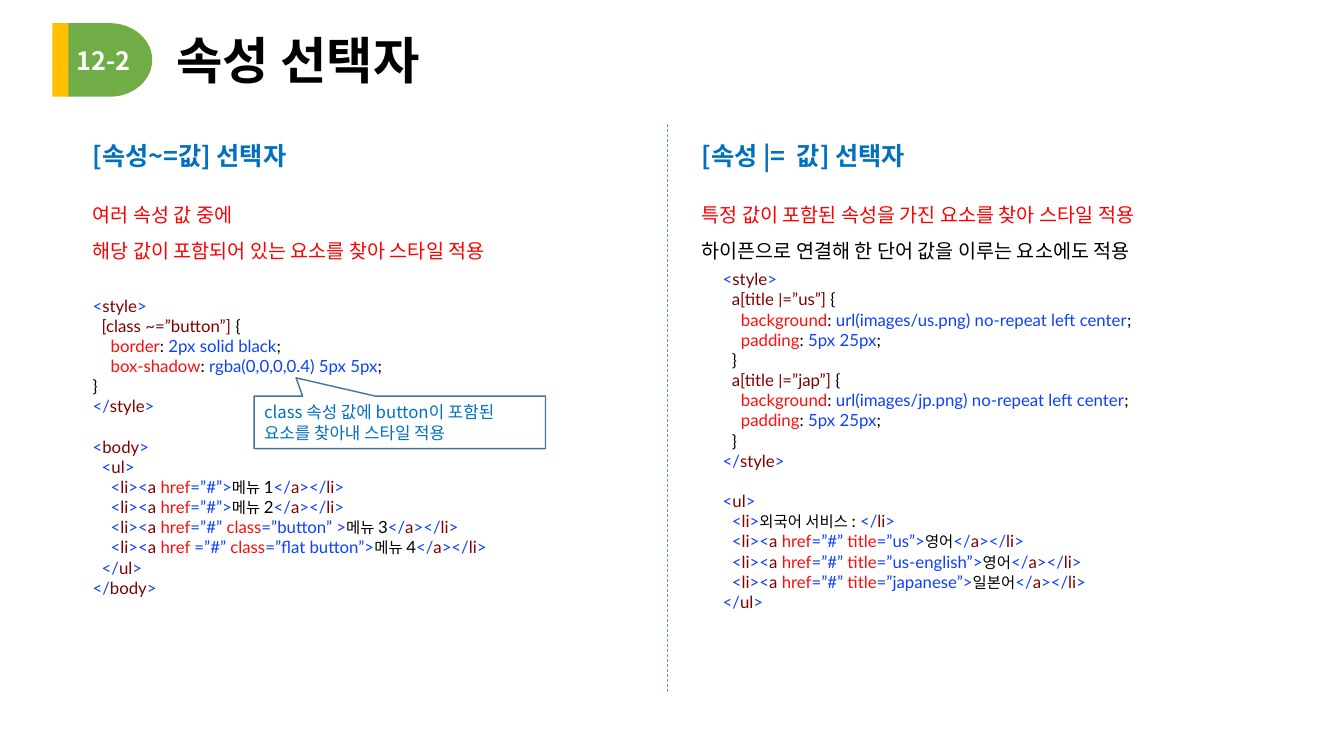
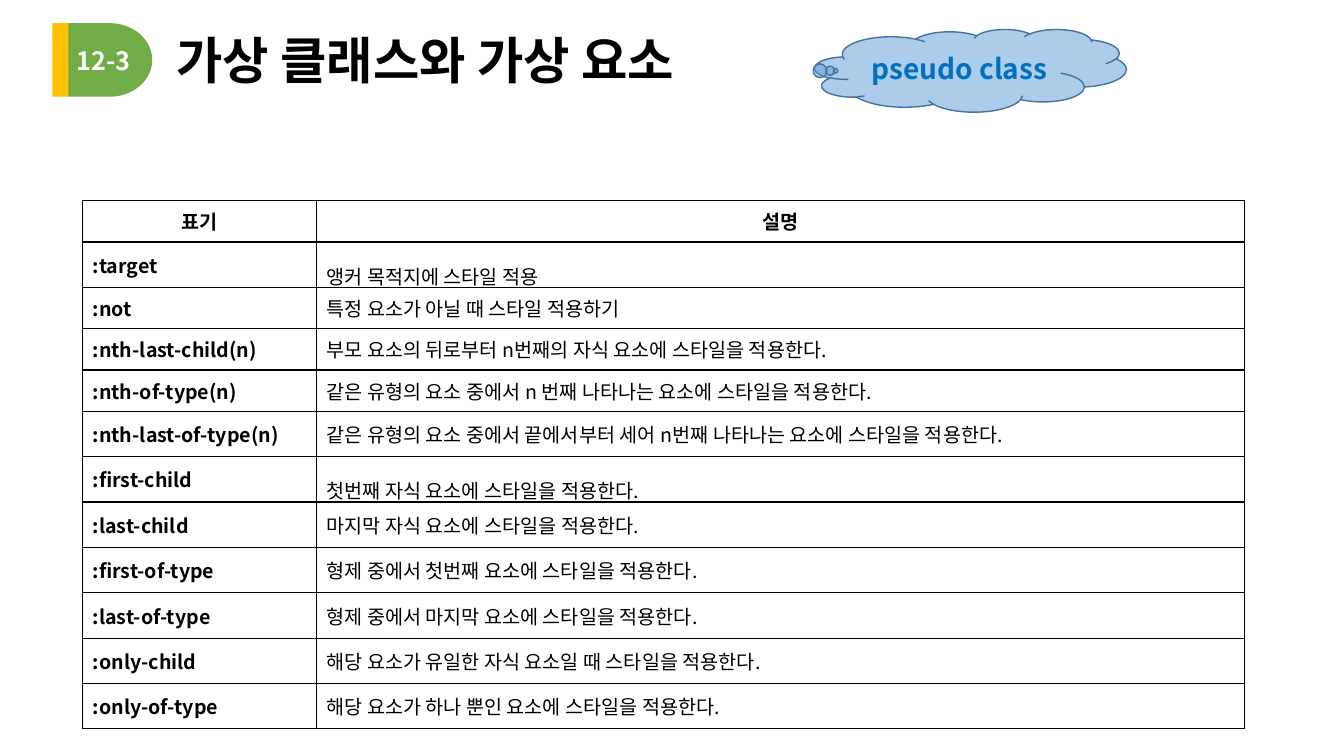
from lxml.etree import SubElement
from pptx import Presentation
from pptx.dml.color import RGBColor
from pptx.enum.dml import MSO_LINE
from pptx.enum.shapes import MSO_CONNECTOR, MSO_SHAPE
from pptx.enum.text import MSO_ANCHOR, PP_ALIGN
from pptx.oxml import parse_xml
from pptx.oxml.ns import nsdecls, qn
from pptx.util import Inches, Pt

KOREAN, CODE, PIPE, BODY = "Noto Sans CJK KR", "Lato", "Roboto", "Arial"
BLACK, WHITE, GREEN, AMBER = "000000", "FFFFFF", "70AD47", "FFC000"
HEADING, ALERT, OUTLINE, ACCENT = "0070C0", "FF0000", "43739E", "5B9BD5"
BLUE, MAROON, RED = "0D40FF", "800000", "FF0D0D"


def rgb(value):
    return RGBColor.from_string(value)


def add_run(p, text, size=14, font=KOREAN, color=BLACK, bold=False):
    r = p.add_run()
    r.text = text
    r.font.size, r.font.name, r.font.bold = Pt(size), font, bold
    r.font.color.rgb = rgb(color)
    SubElement(r.font._element, qn("a:ea")).set("typeface", KOREAN)


def add_text(p, text, align=PP_ALIGN.LEFT, spacing=None, **fmt):
    p.alignment = align
    if spacing:
        p.line_spacing = spacing
    add_run(p, text, **fmt)


def next_paragraph(tf):
    first = tf.paragraphs[0]
    return tf.add_paragraph() if first.runs else first


def add_box(s, x, y, w, h, anchor=MSO_ANCHOR.TOP):
    tf = s.shapes.add_textbox(Inches(x), Inches(y), Inches(w), Inches(h)).text_frame
    tf.word_wrap = True
    tf.vertical_anchor = anchor
    return tf


def add_shape(s, kind, x, y, w, h, fill, line=None, adjust=()):
    sp = s.shapes.add_shape(kind, Inches(x), Inches(y), Inches(w), Inches(h))
    sp.shadow.inherit = False
    sp.fill.solid()
    sp.fill.fore_color.rgb = rgb(fill)
    if line:
        sp.line.color.rgb = rgb(line)
        sp.line.width = Pt(1)
    else:
        sp.line.fill.background()
    for i, value in enumerate(adjust):
        sp.adjustments[i] = value
    sp.text_frame.vertical_anchor = MSO_ANCHOR.MIDDLE
    return sp


def add_header(s, number, title, x=0.52, y=0.23):
    add_shape(s, MSO_SHAPE.FLOWCHART_DELAY, x + 0.15, y, 0.84, 0.73, GREEN)
    add_shape(s, MSO_SHAPE.RECTANGLE, x, y, 0.16, 0.73, AMBER)
    tf = add_box(s, x + 1.13, y + 0.03, 9.94, 0.73, MSO_ANCHOR.MIDDLE)
    add_text(tf.paragraphs[0], title, spacing=0.9, size=36, font=BODY, bold=True)
    tf = add_box(s, x + 0.14, y + 0.17, 0.8, 0.4)
    add_text(tf.paragraphs[0], number, size=18, color=WHITE, bold=True)


def tag(name, level=0, gap=False):
    mark = "</" if name.startswith("/") else "<"
    return level, [(mark, BLUE), (name.lstrip("/"), MAROON), (">", BLUE)], gap


def selector(text, level=1):
    return level, [(text, MAROON), ("{", BLACK)], False


def declaration(name, value):
    return 2, [(name, RED), (": ", BLACK), (value, BLUE), (";", BLACK)], False


def brace(level):
    return level, [("}", BLACK)], False


def link_item(level, label, *attributes):
    runs = [("<", BLUE), ("li", MAROON), ("><", BLUE), ("a ", MAROON)]
    for name, value in attributes:
        runs += [(name, RED), (value, BLUE)]
    runs += [(label, BLACK), ("</", BLUE), ("a", MAROON), ("></", BLUE), ("li", MAROON), (">", BLUE)]
    return level, runs, False


def is_korean(text):
    return any("가" <= ch <= "힣" for ch in text)


def add_code(s, x, y, w, h, lines):
    tf = add_box(s, x, y, w, h)
    for level, runs, gap in lines:
        p = next_paragraph(tf)
        p._p.get_or_add_pPr().set("marL", str(Inches(0.09 * level)))
        if gap:
            p.space_before = Pt(14.4)
        for text, color in runs:
            if is_korean(text):
                words = text.rstrip("1234: ")
                space = " " if text[len(words):].startswith(" ") else ""
                add_run(p, words + space, size=11, font=BODY, color=color)
                rest = text[len(words + space):]
                if rest:
                    add_run(p, rest, size=12, font=CODE, color=color)
                continue
            before, pipe, after = text.partition("|")
            for part, font in ((before, CODE), (pipe, PIPE), (after, CODE)):
                if part:
                    add_run(p, part, size=12, font=font, color=color)


def add_selector_column(s, x, y, w, heading, notes, code, code_box):
    tf = add_box(s, x, y, 3.01, 0.4)
    add_text(tf.paragraphs[0], heading, size=18, color=HEADING, bold=True)
    tf = add_box(s, x, y + 0.51, w, 0.81)
    for text, color in notes:
        add_text(next_paragraph(tf), text, spacing=1.5, font=BODY, color=color)
    dx, dy, code_w, code_h = code_box
    add_code(s, x + dx, y + dy, code_w, code_h, code)


def add_divider(s, x, top, bottom):
    line = s.shapes.add_connector(MSO_CONNECTOR.STRAIGHT, Inches(x), Inches(top), Inches(x), Inches(bottom))
    line.line.color.rgb = rgb(ACCENT)
    line.line.width = Pt(0.5)
    line.line.dash_style = MSO_LINE.DASH
    SubElement(line._element.spPr, qn("a:effectLst"))


def add_cell(cell, text, **fmt):
    cell.vertical_anchor = MSO_ANCHOR.MIDDLE
    cell.fill.background()
    add_text(cell.text_frame.paragraphs[0], text, **fmt)
    tc_pr = cell._tc.get_or_add_tcPr()
    for i, side in enumerate("LRTB"):
        tc_pr.insert(i, parse_xml(
            f'<a:ln{side} w="12700" {nsdecls("a")}><a:solidFill><a:srgbClr val="{BLACK}"/>'
            f'</a:solidFill></a:ln{side}>'))


def add_reference_table(s, x, y, header, rows):
    widths = (2.32, 9.2)
    heights = [0.41] * 5 + [0.45] * 7
    frame = s.shapes.add_table(len(heights), 2, Inches(x), Inches(y), Inches(sum(widths)), Inches(sum(heights)))
    table = frame.table
    table.first_row = table.horz_banding = False
    for col, width in zip(table.columns, widths):
        col.width = Inches(width)
    for row, height in zip(table.rows, heights):
        row.height = Inches(height)
    for col, text in enumerate(header):
        add_cell(table.cell(0, col), text, align=PP_ALIGN.CENTER, bold=True)
    for i, (name, meaning) in enumerate(rows, 1):
        add_cell(table.cell(i, 0), name, bold=True)
        add_cell(table.cell(i, 1), meaning, spacing=1.5 if name in (":target", ":first-child") else None)


def build_attribute_slide(s):
    add_header(s, "12-2", "속성 선택자")
    href = ("href", "=”#”")
    href_space = ("href", "=”#” ")
    button_code = [
        tag("style"),
        selector("[class ~=”button”] "),
        declaration("border", "2px solid black"),
        declaration("box-shadow", "rgba(0,0,0,0.4) 5px 5px"),
        brace(0),
        tag("/style"),
        tag("body", gap=True),
        tag("ul", 1),
        link_item(2, "메뉴 1", ("href", "=”#”>")),
        link_item(2, "메뉴 2", ("href", "=”#”>")),
        link_item(2, "메뉴 3", href, (" class", "=”button” >")),
        link_item(2, "메뉴 4", ("href ", "=”#” "), ("class", "=”flat button”>")),
        tag("/ul", 1),
        tag("/body"),
    ]
    language_code = [tag("style")]
    for title, image in (("us", "us"), ("jap", "jp")):
        language_code += [
            selector(f"a[title |=”{title}”] "),
            declaration("background", f"url(images/{image}.png) no-repeat left center"),
            declaration("padding", "5px 25px"),
            brace(1),
        ]
    language_code += [
        tag("/style"),
        tag("ul", gap=True),
        (1, tag("li")[1] + [("외국어 서비스 : ", BLACK)] + tag("/li")[1], False),
    ]
    for title, label in (("us", "영어"), ("us-english", "영어"), ("japanese", "일본어")):
        language_code.append(link_item(1, label, href_space, ("title", f"=”{title}”>")))
    language_code.append(tag("/ul"))

    add_selector_column(
        s, 0.82, 1.34, 5.8, "[속성~=값] 선택자",
        [("여러 속성 값 중에", ALERT), ("해당 값이 포함되어 있는 요소를 찾아 스타일 적용", ALERT)],
        button_code, (0, 1.54, 4.84, 3.13))
    sp = add_shape(s, MSO_SHAPE.RECTANGULAR_CALLOUT, 2.52, 3.93, 2.89, 0.52, WHITE, OUTLINE, (-0.356, -0.849))
    add_text(sp.text_frame.paragraphs[0], "class 속성 값에 button이 포함된 요소를 찾아내 스타일 적용", size=12, color=HEADING)
    add_divider(s, 6.62, 1.23, 6.88)
    add_selector_column(
        s, 6.86, 1.34, 5.55, "[속성 |=  값] 선택자",
        [("특정 값이 포함된 속성을 가진 요소를 찾아 스타일 적용", ALERT),
         ("하이픈으로 연결해 한 단어 값을 이루는 요소에도 적용", BLACK)],
        language_code, (0.21, 1.28, 6.26, 3.53))


def build_pseudo_slide(s):
    add_header(s, "12-3", "가상 클래스와 가상 요소")
    add_reference_table(s, 0.82, 1.99, ("표기", "설명"), [
        (":target", "앵커 목적지에 스타일 적용"),
        (":not", "특정 요소가 아닐 때 스타일 적용하기"),
        (":nth-last-child(n)", "부모 요소의 뒤로부터 n번째의 자식 요소에 스타일을 적용한다."),
        (":nth-of-type(n)", "같은 유형의 요소 중에서 n 번째 나타나는 요소에 스타일을 적용한다."),
        (":nth-last-of-type(n)", "같은 유형의 요소 중에서 끝에서부터 세어 n번째 나타나는 요소에 스타일을 적용한다."),
        (":first-child", "첫번째 자식 요소에 스타일을 적용한다."),
        (":last-child", "마지막 자식 요소에 스타일을 적용한다."),
        (":first-of-type", "형제 중에서 첫번째 요소에 스타일을 적용한다."),
        (":last-of-type", "형제 중에서 마지막 요소에 스타일을 적용한다."),
        (":only-child", "해당 요소가 유일한 자식 요소일 때 스타일을 적용한다."),
        (":only-of-type", "해당 요소가 하나 뿐인 요소에 스타일을 적용한다."),
    ])
    sp = add_shape(s, MSO_SHAPE.CLOUD_CALLOUT, 8.08, 0.29, 3.09, 0.82, ACCENT, OUTLINE, (-0.433, 0.002))
    color = sp._element.spPr.find(qn("a:solidFill")).find(qn("a:srgbClr"))
    SubElement(color, qn("a:alpha")).set("val", "50000")
    add_text(sp.text_frame.paragraphs[0], "pseudo class", align=PP_ALIGN.CENTER, size=20, color=HEADING, bold=True)


def main():
    prs = Presentation()
    prs.slide_width, prs.slide_height = Inches(13.33), Inches(7.5)
    for build in (build_attribute_slide, build_pseudo_slide):
        build(prs.slides.add_slide(prs.slide_layouts[6]))
    prs.save("out.pptx")


if __name__ == "__main__":
    main()
